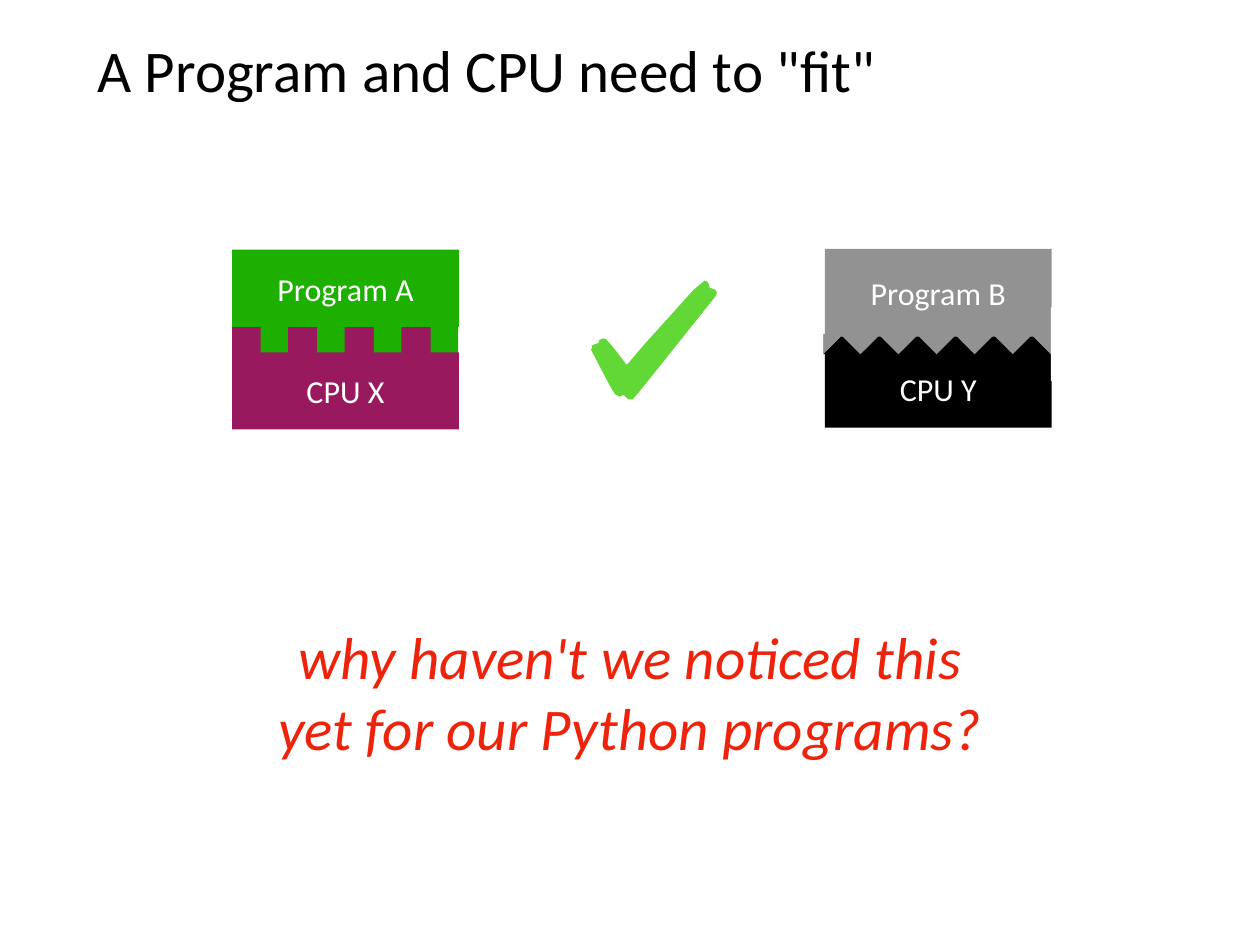
from dataclasses import dataclass

from pptx import Presentation
from pptx.dml.color import RGBColor
from pptx.enum.shapes import MSO_SHAPE
from pptx.enum.text import MSO_ANCHOR, MSO_AUTO_SIZE, PP_ALIGN
from pptx.shapes.autoshape import Shape
from pptx.slide import Slide
from pptx.text.text import TextFrame
from pptx.util import Emu, Pt

RECTANGLE = MSO_SHAPE.RECTANGLE
MIDDLE = MSO_ANCHOR.MIDDLE
NO_AUTOFIT = MSO_AUTO_SIZE.NONE
LEFT, CENTER = PP_ALIGN.LEFT, PP_ALIGN.CENTER

EMU_PER_PX = 9144  # 100 px to the inch
TITLE_ONLY = 5


@dataclass(frozen=True)
class Theme:
    font: str = "Calibri"
    heading_size: int = 48
    label_size: int = 26
    black: str = "000000"
    white: str = "FFFFFF"
    purple: str = "99195E"
    green: str = "1EB001"
    gray: str = "929292"
    check: str = "61D836"
    question: str = "EE230C"


@dataclass(frozen=True)
class Box:
    left: int
    top: int
    width: int
    height: int


@dataclass(frozen=True)
class Block:
    label: str
    box: Box
    color: str


@dataclass(frozen=True)
class TriangleRow:
    first_tip: int
    last_tip: int
    count: int
    tip_y: int
    base_y: int
    color: str


THEME = Theme()

CPU_X = Block("CPU X", Box(262, 398, 256, 87), THEME.purple)
PROGRAM_A = Block("Program A", Box(262, 282, 256, 87), THEME.green)
CPU_Y = Block("CPU Y", Box(931, 396, 256, 87), THEME.black)
PROGRAM_B = Block("Program B", Box(931, 281, 256, 99), THEME.gray)

CPU_Y_TEETH = TriangleRow(952, 1165, 6, 377, 400, THEME.black)
PROGRAM_B_TEETH = TriangleRow(929, 1186, 7, 400, 377, THEME.gray)
TRIANGLE_HALF_WIDTH = 23

SQUARE_TEETH = 8
TOOTH_PITCH = 32
TOOTH_SIZE = 31

SIDE_MASKS = (Box(898, 347, 31, 83), Box(1186, 347, 31, 83))

CHECK_MARK = [
    (795, 317), (782, 328), (756, 357), (728, 388), (710, 409), (707, 412),
    (705, 409), (691, 391), (684, 383), (681, 382), (676, 384), (676, 387),
    (668, 390), (668, 393), (667, 395), (688, 435), (694, 445), (699, 448),
    (704, 446), (709, 451), (714, 451), (720, 444), (733, 428), (804, 339),
    (808, 334), (809, 330), (807, 327), (804, 326), (801, 325), (800, 322),
    (800, 321), (798, 318),
]


def px(value: int) -> Emu:
    return Emu(value * EMU_PER_PX)


def paint(shape: Shape, color: str) -> None:
    shape.shadow.inherit = False
    shape.fill.solid()
    shape.fill.fore_color.rgb = RGBColor.from_string(color)
    shape.line.fill.background()


def write(frame: TextFrame, text: str, size: int, color: str,
          alignment: PP_ALIGN = CENTER, italic: bool = False) -> None:
    frame.text = text
    frame.word_wrap = True
    frame.auto_size = NO_AUTOFIT
    frame.vertical_anchor = MIDDLE
    frame.margin_left = frame.margin_right = px(6)
    frame.margin_top = frame.margin_bottom = px(6)
    paragraph = frame.paragraphs[0]
    paragraph.alignment = alignment
    font = paragraph.runs[0].font
    font.name = THEME.font
    font.size = Pt(size)
    font.italic = italic
    font.color.rgb = RGBColor.from_string(color)


def place(shape: Shape, box: Box) -> None:
    shape.left, shape.top = px(box.left), px(box.top)
    shape.width, shape.height = px(box.width), px(box.height)


def add_rectangle(slide: Slide, box: Box, color: str) -> Shape:
    shape = slide.shapes.add_shape(
        RECTANGLE, px(box.left), px(box.top), px(box.width), px(box.height))
    paint(shape, color)
    return shape


def add_block(slide: Slide, block: Block) -> None:
    shape = add_rectangle(slide, block.box, block.color)
    write(shape.text_frame, block.label, THEME.label_size, THEME.white)


def add_polygon(slide: Slide, points: list[tuple[int, int]], color: str) -> None:
    builder = slide.shapes.build_freeform(*points[0], scale=EMU_PER_PX)
    builder.add_line_segments(points[1:], close=True)
    paint(builder.convert_to_shape(), color)


def add_square_teeth(slide: Slide) -> None:
    left, top = PROGRAM_A.box.left, PROGRAM_A.box.top + PROGRAM_A.box.height
    for index in range(SQUARE_TEETH):
        color = THEME.green if index % 2 else THEME.purple
        # The first tooth runs behind the others and closes their gaps
        width = TOOTH_SIZE if index else 235
        box = Box(left + index * TOOTH_PITCH, top, width, TOOTH_SIZE)
        add_rectangle(slide, box, color)


def add_triangles(slide: Slide, row: TriangleRow) -> None:
    span = row.last_tip - row.first_tip
    for index in range(row.count):
        tip = row.first_tip + span * index // (row.count - 1)
        points = [(tip - TRIANGLE_HALF_WIDTH, row.base_y), (tip, row.tip_y),
                  (tip + TRIANGLE_HALF_WIDTH, row.base_y)]
        add_polygon(slide, points, row.color)


def main() -> None:
    presentation = Presentation()
    presentation.slide_width, presentation.slide_height = px(1422), px(1067)
    slide = presentation.slides.add_slide(presentation.slide_layouts[TITLE_ONLY])

    # Title
    title = slide.shapes.title
    place(title, Box(104, 28, 1214, 99))
    write(title.text_frame, 'A Program and CPU need to "fit"',
          THEME.heading_size, THEME.black, LEFT)

    # Program A on CPU X, joined by square teeth
    add_square_teeth(slide)
    add_block(slide, CPU_X)
    add_block(slide, PROGRAM_A)

    # Program B on CPU Y, joined by triangles trimmed at both sides
    add_block(slide, CPU_Y)
    add_triangles(slide, CPU_Y_TEETH)
    add_block(slide, PROGRAM_B)
    add_triangles(slide, PROGRAM_B_TEETH)
    for mask in SIDE_MASKS:
        add_rectangle(slide, mask, THEME.white)

    # Check mark
    add_polygon(slide, CHECK_MARK, THEME.check)

    # Question
    question = slide.shapes.add_textbox(px(291), px(700), px(840), px(161))
    write(question.text_frame,
          "why haven't we noticed this yet for our Python programs?",
          THEME.heading_size, THEME.question, italic=True)

    presentation.save("out.pptx")


if __name__ == "__main__":
    main()
